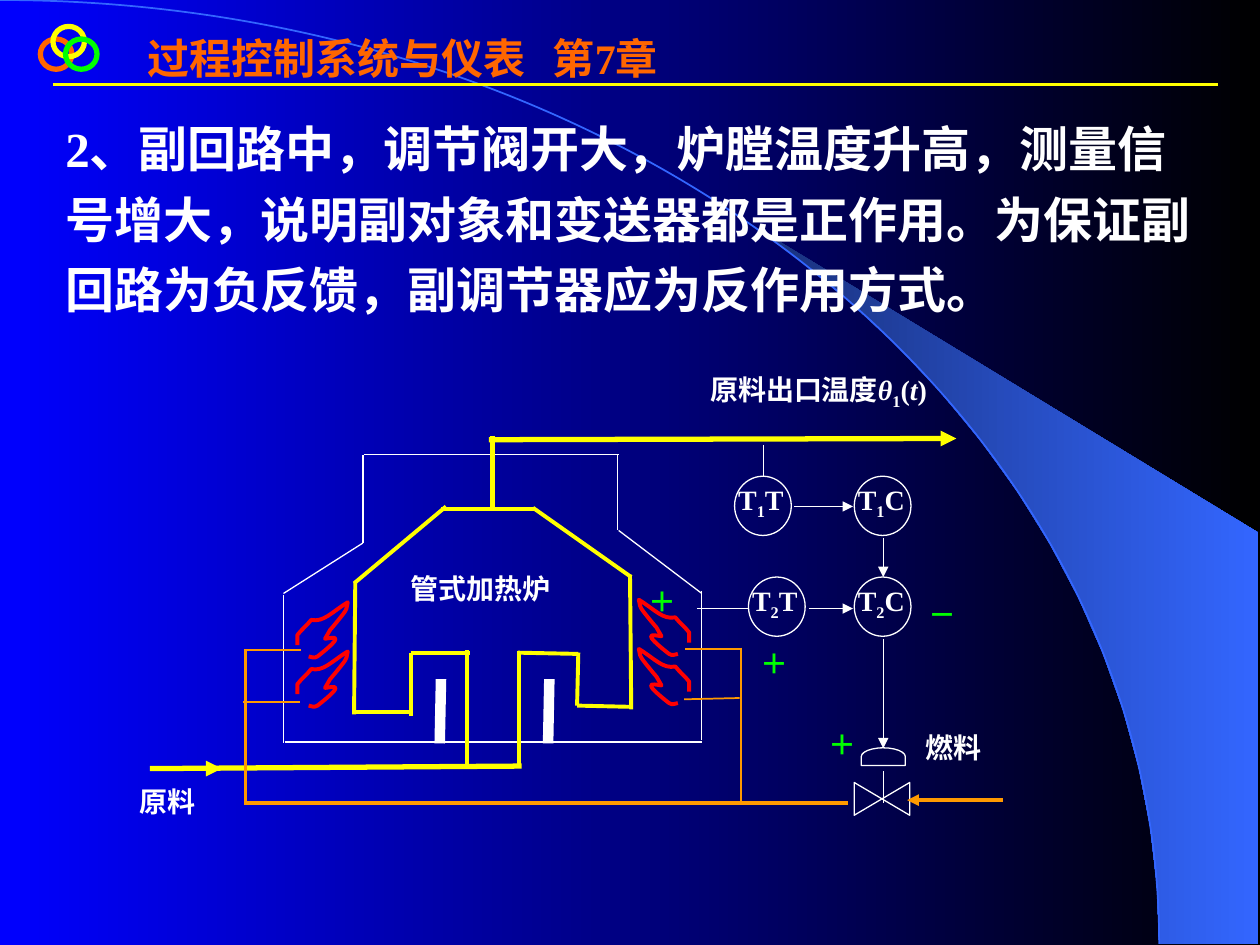
from math import asin, cos, pi, sin

from lxml import etree
from pptx import Presentation
from pptx.dml.color import RGBColor
from pptx.enum.shapes import MSO_CONNECTOR, MSO_SHAPE
from pptx.enum.text import MSO_ANCHOR
from pptx.oxml.ns import qn
from pptx.util import Inches, Pt

STRAIGHT = MSO_CONNECTOR.STRAIGHT
ELLIPSE = MSO_SHAPE.OVAL
TOP, MIDDLE = MSO_ANCHOR.TOP, MSO_ANCHOR.MIDDLE
WHITE, YELLOW, ORANGE = "FFFFFF", "FFFF00", "FF9900"
RED, GREEN, TITLE, BLUE = "FF0000", "00FF00", "FF6600", "3366FF"
rgb = RGBColor.from_string

presentation = Presentation()
presentation.slide_width, presentation.slide_height = Inches(10), Inches(7.5)
UNIT = presentation.slide_width // 100  # the slide is a grid of 100 columns by 75 rows
slide = presentation.slides.add_slide(presentation.slide_layouts[6])
shapes = slide.shapes


def add_text(box, runs, size=16, color=WHITE, anchor=TOP, spacing=None, wrap=True, tab=None):
    """Add a text box; runs are (text, style) pairs, with style "", "italic" or "sub"."""
    frame = shapes.add_textbox(*(round(v * UNIT) for v in box)).text_frame
    frame.word_wrap, frame.vertical_anchor = wrap, anchor
    paragraph = frame.paragraphs[0]
    if tab:
        tabs = etree.SubElement(paragraph._p.get_or_add_pPr(), qn("a:tabLst"))
        etree.SubElement(tabs, qn("a:tab"), pos=str(round(tab * UNIT)), algn="l")
    if spacing:
        paragraph.line_spacing = spacing
    for text, style in runs:
        run = paragraph.add_run()
        run.text = text
        run.font.name, run.font.size, run.font.bold = "Times New Roman", Pt(size), True
        run.font.italic = style == "italic"
        run.font.color.rgb = rgb(color)
        if style == "sub":
            run._r.get_or_add_rPr().set("baseline", "-25000")


def outline(shape, color, width):
    shape.shadow.inherit = False
    shape.fill.background()
    shape.line.color.rgb = rgb(color)
    shape.line.width = Pt(width)


# Background: gradient and crescent
background = slide.background.fill
background.gradient()
background.gradient_angle = 0
for stop, color in zip(background.gradient_stops, ("0000FF", "000000")):
    stop.color.rgb = rgb(color)

ARC_WIDTH, ARC_HEIGHT, STEPS = 92, 74.9, 14
start = asin(58.9 / ARC_WIDTH)
angles = [start + (pi / 2 - start) * i / STEPS for i in range(STEPS + 1)]
corners = [(ARC_WIDTH * sin(a), ARC_HEIGHT * (1 - cos(a))) for a in angles]
corners += [(99.9, 74.9), (99.9, 42.3)]
corners = [(x * UNIT, y * UNIT) for x, y in corners]
builder = shapes.build_freeform(*corners[0])
builder.add_line_segments(corners[1:])
crescent = builder.convert_to_shape()
crescent.shadow.inherit = False
crescent.line.fill.background()
crescent.fill.gradient()
crescent.fill.gradient_angle = 0
for stop, color in zip(crescent.fill.gradient_stops, ("182F76", BLUE)):
    stop.color.rgb = rgb(color)

# Curves, as a start and three points per cubic: background edge and burner flames
EDGE = [(0, 0), (50.8, 0), (ARC_WIDTH, 33.5), (ARC_WIDTH, ARC_HEIGHT)]
FLAME = [(53.8, 55.8), (53.6, 55.8), (53.4, 56), (53.1, 55.8), (50.8, 54), (51.8, 54.3),
         (52.5, 54.4), (52.3, 54.2), (52.3, 53.9), (52.1, 53.7), (52, 53.6), (51, 52.4),
         (50.9, 52.2), (50.7, 51.9), (50.8, 51.7), (50.7, 51.5), (52, 52.3), (52.6, 53.1),
         (53.6, 52.9), (53.9, 53.3), (54.4, 53.7), (54.7, 54.1), (54.8, 54.4), (54.6, 54.6),
         (54.7, 54.9)]
MIRROR_SUM = 78.3
curves = [(EDGE, BLUE, 1)]
for rise in (0, 3.9):
    curves.append(([(x, y - rise) for x, y in FLAME], RED, 2.25))
    curves.append(([(MIRROR_SUM - x, y - rise + 0.2) for x, y in FLAME], RED, 2.25))
for points, color, width in curves:
    points = [(x * UNIT, y * UNIT) for x, y in points]
    builder = shapes.build_freeform(*points[0])
    builder.add_line_segments(points[1:], close=False)
    curve = builder.convert_to_shape()
    outline(curve, color, width)
    geometry = curve._element.find(".//" + qn("a:path"))
    segments = geometry.findall(qn("a:lnTo"))
    for first in range(0, len(segments), 3):
        cubic = etree.SubElement(geometry, qn("a:cubicBezTo"))
        for segment in segments[first:first + 3]:
            cubic.append(segment[0])
            geometry.remove(segment)

# Circles: heading rings, then instruments with their labels
INSTRUMENTS = [(58.3, 37.8, "1", "T"), (67.8, 37.8, "1", "C"),
               (59.4, 45.8, "2", "T"), (67.8, 45.8, "2", "C")]
circles = [(3.2, 3.1, 2.5, 2.4, TITLE, 3), (4.2, 2.1, 2.5, 2.4, YELLOW, 3),
           (5.2, 3.1, 2.5, 2.4, GREEN, 3)]
circles += [(x, y, 4.5, 4.7, WHITE, 0.75) for x, y, _, _ in INSTRUMENTS]
for *box, color, width in circles:
    outline(shapes.add_shape(ELLIPSE, *(round(v * UNIT) for v in box)), color, width)
for x, y, number, kind in INSTRUMENTS:
    add_text((x - 0.7, y, 7.2, 4.1), [("T", ""), (number, "sub"), (kind, "")])

# Control valve: body and actuator
VALVE = [(MSO_SHAPE.FLOWCHART_COLLATE, (68.7, 61.2, 2.6, 4.4)),
         (MSO_SHAPE.FLOWCHART_DELAY, (69.4, 58.3, 1.4, 3.5))]
for preset, box in VALVE:
    part = shapes.add_shape(preset, *(round(v * UNIT) for v in box))
    part.rotation = 270
    outline(part, WHITE, 0.75)

# Straight lines: colour, width, arrow at the end, segments
LINES = [
    (YELLOW, 1.5, False, [(4.2, 6.7, 96.7, 6.7)]),
    # furnace wall
    (WHITE, 0.75, False, [
        (28.9, 36.1, 49.1, 36.1), (28.8, 36.1, 28.8, 43.1), (49, 36.1, 49, 42.1),
        (22.5, 47.2, 22.5, 59), (22.5, 47.1, 28.8, 43.1), (55.7, 47.1, 49.1, 42.1),
        (22.6, 58.9, 55.7, 58.9), (55.7, 46.9, 55.7, 58.7)]),
    # partitions
    (WHITE, 6, False, [(43.5, 59, 43.6, 53.9), (34.9, 59, 35, 53.9)]),
    # heating tube
    (YELLOW, 2.25, False, [
        (28.1, 56.7, 28.2, 46.2), (28.1, 46.3, 35.4, 40.2), (42.3, 40.3, 50.1, 45.8),
        (32.6, 56.8, 32.6, 51.8), (32.6, 51.8, 37.3, 51.8), (37.1, 51.6, 37.1, 61),
        (45.8, 56, 45.9, 51.8), (41.1, 51.8, 45.9, 51.9), (41.2, 51.7, 41.2, 60.9),
        (45.8, 56, 50.1, 56.1), (50.1, 56.3, 50, 45.6), (28.1, 56.5, 32.6, 56.5),
        (35, 40.4, 42.4, 40.4)]),
    # feed and outlet
    (YELLOW, 3, False, [(39.1, 34.6, 39.1, 40.5), (11.9, 61, 41.4, 60.8)]),
    (YELLOW, 3, True, [(38.8, 34.9, 75.9, 34.8), (11.9, 61, 17.6, 61)]),
    # fuel pipes
    (ORANGE, 1, False, [(58.7, 55.4, 54.3, 55.5), (58.8, 51.5, 54.4, 51.5),
                        (23.8, 55.7, 19.3, 55.7), (23.9, 51.6, 19.4, 51.6)]),
    (ORANGE, 1.5, False, [(58.8, 51.4, 58.8, 63.6), (19.5, 51.5, 19.5, 63.8)]),
    (ORANGE, 2.25, False, [(19.4, 63.7, 67.3, 63.7)]),
    (ORANGE, 2.25, True, [(79.6, 63.5, 72, 63.5)]),
    # signals
    (WHITE, 0.75, False, [(60.6, 35.3, 60.6, 37.8), (70.1, 61.2, 70.1, 63.7),
                          (55.3, 48.3, 59.4, 48.3)]),
    (WHITE, 0.75, True, [(63, 40.2, 67.7, 40.2), (64.2, 48.3, 67.7, 48.3),
                         (70.1, 50.7, 70.1, 59.4), (70.1, 42.7, 70.1, 45.8)]),
]
for color, width, arrow, segments in LINES:
    for segment in segments:
        connector = shapes.add_connector(STRAIGHT, *(round(v * UNIT) for v in segment))
        connector.line.color.rgb = rgb(color)
        connector.line.width = Pt(width)
        properties = connector._element.spPr
        if arrow:
            etree.SubElement(properties.find(qn("a:ln")), qn("a:tailEnd"), type="triangle")
        etree.SubElement(properties, qn("a:effectLst"))

# Heading, statement and labels
add_text((10.7, 2.1, 44.9, 9), [("过程控制系统与仪表\t第7章", "")], size=24, color=TITLE, tab=32.2)
add_text((4.2, 8, 92, 17.8),
         [("2、副回路中，调节阀开大，炉膛温度升高，测量信号增大，说明副对象和变送器都是正作用。"
           "为保证副回路为负反馈，副调节器应为反作用方式。", "")],
         size=28, anchor=MIDDLE, spacing=1.2)
add_text((55.4, 29.1, 26.6, 4.9), [("原料出口温度", ""), ("θ", "italic"), ("1", "sub"),
                                   ("(", ""), ("t", "italic"), (")", "")])
for box, label in [((10.1, 61.8, 8.7, 4.7), "原料"), ((72.5, 57.5, 8.4, 4.3), "燃料"),
                   ((31.6, 44.9, 16.1, 5.1), "管式加热炉")]:
    add_text(box, [(label, "")])
for x, y, sign in [(64.8, 56.7, "＋"), (50.5, 45.4, "＋"), (59.4, 50.3, "＋"), (72.7, 46.4, "－")]:
    add_text((x, y, 4.2, 4.2), [(sign, "")], color=GREEN, spacing=1.2, wrap=False)

presentation.save("out.pptx")
